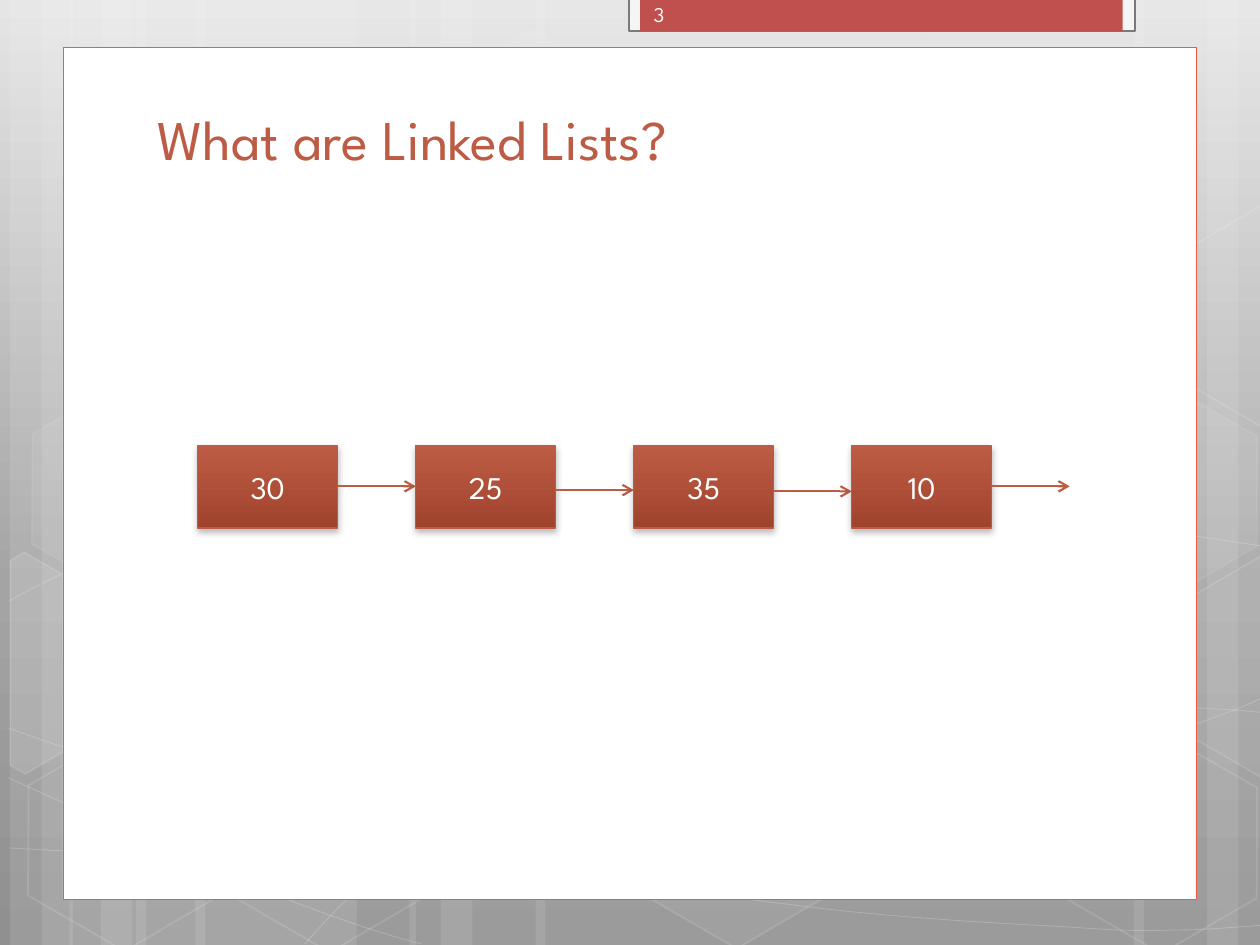
import dataclasses
import math

import lxml.etree
import pptx
import pptx.dml.color
import pptx.enum.shapes
import pptx.enum.text
import pptx.oxml.ns
import pptx.util

Inches = pptx.util.Inches
qn = pptx.oxml.ns.qn
SHAPES = pptx.enum.shapes.MSO_SHAPE
ANCHOR = pptx.enum.text.MSO_ANCHOR
ALIGN = pptx.enum.text.PP_ALIGN


@dataclasses.dataclass(frozen=True)
class Theme:
    """Colours and type sizes of the deck."""
    font: str = "League Spartan"
    white: str = "FFFFFF"
    accent: str = "BD5C45"
    accent_dark: str = "A0432D"
    panel_line: str = "EF5946"
    tab: str = "C0504D"
    tab_frame: str = "F5F5F5"
    tab_line: str = "7A7A7A"
    number: str = "FEFEFE"
    backdrop: tuple = ((0, "E5E5E5"), (62, "A4A4A4"), (100, "909090"))
    title_size: int = 32
    node_size: int = 18
    number_size: int = 12


@dataclasses.dataclass(frozen=True)
class Box:
    """A region of the page in inches."""
    left: float
    top: float
    width: float
    height: float

    def inside(self, left, top, width, height):
        """Return a box placed relative to this one."""
        return Box(self.left + left, self.top + top, width, height)

    def lengths(self):
        """Return the four lengths of the box."""
        return [Inches(value) for value in dataclasses.astuple(self)]


THEME = Theme()
TILT = 30

STRIPES = [(1.08, 1.75), (0.08, 0.5), (0.33, 0.83), (1.55, 1.75),
           (0.55, 0.5), (0.8, 0.83), (7.33, 1.75), (9.58, 0.5),
           (9, 0.83), (4.25, 3.08), (3.25, 0.5), (3.5, 0.83)]

CURVES = [
    [(0.07, 6.73), (0.61, 6.76), (1.15, 6.79), (1.9, 6.78), (2.65, 6.77),
     (3.58, 6.75), (4.58, 6.65), (5.58, 6.55), (7, 6.36), (7.92, 6.17),
     (8.83, 5.98), (9.77, 5.68), (10.07, 5.51)],
    [(0.07, 4.77), (0.36, 4.61), (0.65, 4.46), (1.21, 4.31), (1.78, 4.16),
     (2.59, 3.94), (3.47, 3.87), (4.36, 3.8), (5.44, 3.79), (6.54, 3.87),
     (7.64, 3.95), (9.47, 4.26), (10.07, 4.34)],
    [(0.06, 6.17), (1.27, 6.72), (2.47, 7.27), (3.34, 7.49)],
    [(0.07, 5.78), (0.38, 5.89), (0.7, 6), (1.28, 6.16), (1.86, 6.31),
     (2.73, 6.56), (3.57, 6.73), (4.4, 6.9), (5.45, 7.08), (6.28, 7.18),
     (7.11, 7.29), (8, 7.33), (8.53, 7.36), (9.05, 7.4), (9.19, 7.38),
     (9.45, 7.38), (9.71, 7.37), (9.89, 7.35), (10.07, 7.34)],
    [(2.42, 7.49), (2.6, 7.29), (2.78, 7.09), (3.02, 6.91), (3.26, 6.73),
     (3.6, 6.53), (3.88, 6.39), (4.16, 6.25), (4.33, 6.19), (4.7, 6.09),
     (5.06, 5.99), (5.73, 5.85), (6.08, 5.78), (6.44, 5.71), (6.49, 5.71),
     (6.8, 5.69), (7.11, 5.66), (7.6, 5.63), (7.94, 5.62), (8.29, 5.61),
     (8.86, 5.62), (8.86, 5.62), (8.86, 5.62), (9.53, 5.62), (9.53, 5.62),
     (9.71, 5.63), (9.88, 5.64), (9.97, 5.65), (10.06, 5.66),
     (10.03, 5.65), (10.06, 5.66)],
]

HEXAGONS = [(3.34, 0.36, 4, 8), (4.97, 5.89, 6, 12), (0.11, 5.91, 0, 12),
            (0.14, 3.12, 7, 8), (1.74, 5.92, 0, 12), (8.34, 5.93, 0, 12),
            (8.34, 3.14, 7, 8)]

CUT_HEXAGONS = [
    ((0.36, 5.35), [(0.08, 4.45), (0.19, 4.38), (0.96, 4.82), (0.95, 5.7),
                    (0.2, 6.14), (0.08, 6.07)], 10),
    ((9.85, 5.2), [(9.26, 4.85), (10.01, 4.41), (10.09, 4.46),
                   (10.09, 6.13), (10.02, 6.17), (9.26, 5.73)], 4),
    ((9.85, 2.41), [(9.26, 2.07), (10.01, 1.63), (10.1, 1.68),
                    (10.09, 3.35), (10.02, 3.39), (9.26, 2.95)], 0),
]


def set_alpha(solid, percent):
    """Make a solid fill translucent."""
    lxml.etree.SubElement(solid[0], qn("a:alpha"), val=str(percent * 1000))


def set_gradient(fill, owner, stops):
    """Fill the owner with a gradient running from top to bottom."""
    fill.gradient()
    stop_list = next(owner.iter(qn("a:gsLst")))
    for stop in list(stop_list):
        stop_list.remove(stop)
    for position, colour in stops:
        stop = lxml.etree.SubElement(stop_list, qn("a:gs"), pos=str(position * 1000))
        lxml.etree.SubElement(stop, qn("a:srgbClr"), val=colour)
    direction = next(owner.iter(qn("a:lin")))
    direction.set("ang", "5400000")
    direction.set("scaled", "0")


def style(shape, fill=None, alpha=100, line=None, weight=1, line_alpha=100):
    """Set the fill and outline of a shape and drop its shadow."""
    shape.shadow.inherit = False
    properties = shape.element.spPr
    if fill and alpha:
        shape.fill.solid()
        shape.fill.fore_color.rgb = pptx.dml.color.RGBColor.from_string(fill)
        if alpha < 100:
            set_alpha(properties.find(qn("a:solidFill")), alpha)
    else:
        shape.fill.background()
    if line:
        shape.line.color.rgb = pptx.dml.color.RGBColor.from_string(line)
        shape.line.width = pptx.util.Pt(weight)
        if line_alpha < 100:
            set_alpha(properties.find(qn("a:ln")).find(qn("a:solidFill")), line_alpha)
    else:
        shape.line.fill.background()


def rectangle(page, box, **look):
    """Add a styled rectangle."""
    shape = page.shapes.add_shape(SHAPES.RECTANGLE, *box.lengths())
    style(shape, **look)
    return shape


def outline(page, box, points, closed, **look):
    """Add a styled freeform through points given relative to the box."""
    corners = [(Inches(box.left + x), Inches(box.top + y)) for x, y in points]
    builder = page.shapes.build_freeform(*corners[0])
    builder.add_line_segments(corners[1:], close=closed)
    shape = builder.convert_to_shape()
    style(shape, line=THEME.white, **look)
    return shape


def bend(shape):
    """Turn each three segments of a freeform into one cubic curve."""
    segments = list(shape.element.iter(qn("a:lnTo")))
    track = segments[0].getparent()
    for first in range(0, len(segments), 3):
        curve = lxml.etree.SubElement(track, qn("a:cubicBezTo"))
        for segment in segments[first:first + 3]:
            curve.append(segment[0])
            track.remove(segment)


def turn_back(points, center):
    """Return points turned against the tilt around a center."""
    cosine, sine = math.cos(math.radians(TILT)), math.sin(math.radians(TILT))
    offsets = [(x - center[0], y - center[1]) for x, y in points]
    return [(center[0] + x * cosine + y * sine, center[1] - x * sine + y * cosine)
            for x, y in offsets]


def write(shape, text, size, colour, anchor, align=ALIGN.LEFT):
    """Put one paragraph of text in a shape."""
    frame = shape.text_frame
    frame.word_wrap = True
    frame.vertical_anchor = anchor
    para = frame.paragraphs[0]
    para.text = text
    para.alignment = align
    para.font.name = THEME.font
    para.font.size = pptx.util.Pt(size)
    para.font.color.rgb = pptx.dml.color.RGBColor.from_string(colour)


def draw_backdrop(page, box):
    """Draw the grey backdrop with stripes, curves and hexagons."""
    set_gradient(page.background.fill, page.element, THEME.backdrop)
    for left, width in STRIPES:
        rectangle(page, box.inside(left, 0, width, box.height), fill=THEME.white, alpha=10)
    for controls in CURVES:
        bend(outline(page, box, controls, False, weight=0.5, line_alpha=20))
    for left, top, alpha, line_alpha in HEXAGONS:
        hexagon = page.shapes.add_shape(SHAPES.HEXAGON, *box.inside(left, top, 1.75, 1.52).lengths())
        hexagon.adjustments[0] = 0.285
        hexagon.rotation = TILT
        style(hexagon, THEME.white, alpha, THEME.white, 1, line_alpha)
    for center, points, alpha in CUT_HEXAGONS:
        piece = outline(page, box, turn_back(points, center), True,
                        fill=THEME.white, alpha=alpha, line_alpha=12)
        piece.rotation = TILT


def draw_panel(page, box, title):
    """Draw the white panel and its title."""
    rectangle(page, box, fill=THEME.white, line=THEME.panel_line, weight=0.5)
    heading = page.shapes.add_textbox(*box.inside(0.65, 0.41, 7.86, 0.62).lengths())
    write(heading, title, THEME.title_size, THEME.accent, ANCHOR.BOTTOM)


def draw_tab(page, box, number):
    """Draw the page number tab."""
    rectangle(page, box, fill=THEME.tab_frame, line=THEME.tab_line, weight=1.25)
    rectangle(page, box.inside(0.09, 0, 3.83, box.height), fill=THEME.tab)
    label = page.shapes.add_textbox(*box.inside(0.1, 0, 1.46, box.height).lengths())
    write(label, number, THEME.number_size, THEME.number, ANCHOR.MIDDLE)


def add_arrow(page, left, right, level):
    """Add a level arrow pointing right."""
    arrow = page.shapes.add_connector(
        pptx.enum.shapes.MSO_CONNECTOR.STRAIGHT,
        Inches(left), Inches(level), Inches(right), Inches(level))
    arrow.line.color.rgb = pptx.dml.color.RGBColor.from_string(THEME.accent)
    arrow.line.width = pptx.util.Pt(1.25)
    properties = arrow.element.spPr
    lxml.etree.SubElement(properties.find(qn("a:ln")), qn("a:tailEnd"), type="arrow")
    lxml.etree.SubElement(properties, qn("a:effectLst"))


def add_node(page, box, value):
    """Add one shaded list node."""
    node = rectangle(page, box, line=THEME.accent, weight=0.75)
    set_gradient(node.fill, node.element, ((0, THEME.accent), (100, THEME.accent_dark)))
    shadow = lxml.etree.SubElement(
        node.element.spPr.find(qn("a:effectLst")), qn("a:outerShdw"),
        blurRad=str(pptx.util.Pt(4)), dist=str(pptx.util.Pt(2)), dir="5400000", rotWithShape="0")
    colour = lxml.etree.SubElement(shadow, qn("a:srgbClr"), val="000000")
    lxml.etree.SubElement(colour, qn("a:alpha"), val="28000")
    write(node, value, THEME.node_size, THEME.white, ANCHOR.MIDDLE, ALIGN.CENTER)


def draw_linked_list(page, box, nodes):
    """Draw nodes at an equal pitch, each followed by an arrow."""
    pitch, width = 1.73, 1.11
    for index, (value, level) in enumerate(nodes):
        node_box = box.inside(index * pitch, 0, width, box.height)
        add_node(page, node_box, value)
        add_arrow(page, node_box.left + width, node_box.left + pitch, box.top + level)


def main():
    """Build and save the deck."""
    deck = pptx.Presentation()
    deck.slide_width, deck.slide_height = Inches(10), Inches(7.5)
    page = deck.slides.add_slide(deck.slide_layouts[6])
    draw_backdrop(page, Box(0, 0, 10, 7.5))
    draw_panel(page, Box(0.5, 0.38, 9, 6.76), "What are Linked Lists?")
    draw_tab(page, Box(4.99, -0.02, 4.02, 0.27), "3")
    draw_linked_list(page, Box(1.57, 3.54, 6.92, 0.65),
                     [("30", 0.32), ("25", 0.35), ("35", 0.36), ("10", 0.32)])
    deck.save("out.pptx")


main()
